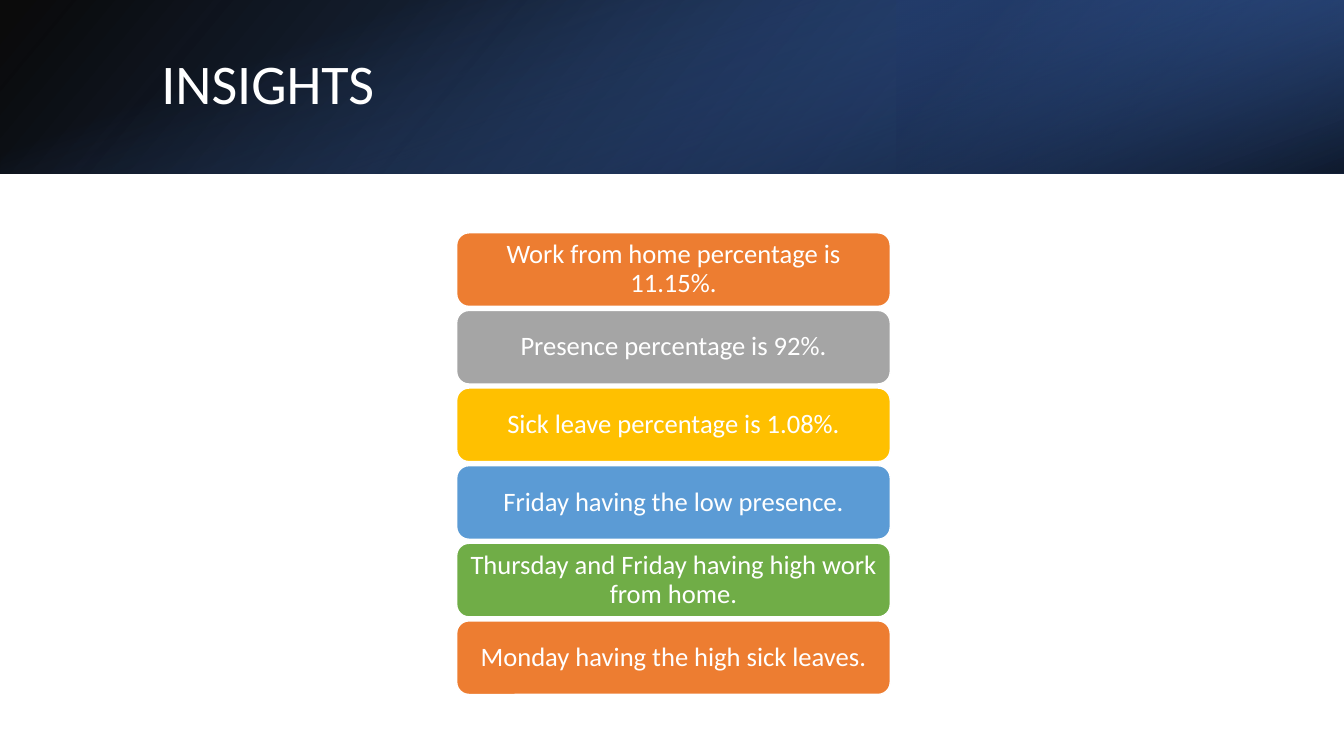
"""Build the Insights slide: a layered gradient banner and a stack of findings."""
from dataclasses import dataclass

from pptx import Presentation
from pptx.dml.color import RGBColor
from pptx.enum.shapes import MSO_SHAPE as SHAPE
from pptx.enum.text import MSO_ANCHOR as ANCHOR, PP_ALIGN as ALIGN
from pptx.oxml import parse_xml
from pptx.oxml.ns import nsdecls, qn
from pptx.util import Inches, Pt

WIDTH, HEIGHT, BANNER_H = 13.33, 7.5, 1.72
CARD_X, CARD_Y, CARD_W, CARD_H, CARD_STEP = 4.53, 2.31, 4.3, 0.73, 0.77
WHITE = "FFFFFF"


@dataclass
class Stop:
    pos: int
    color: str
    opacity: int


@dataclass
class Layer:
    x: float
    y: float
    w: float
    h: float
    rotation: int
    flip: bool
    angle: int
    stops: tuple[Stop, Stop]


@dataclass
class Card:
    text: str
    color: str


LAYERS = [
    Layer(0, 0, WIDTH, BANNER_H, 0, True, 140,
          (Stop(0, "000000", 96), Stop(100, "2F5597", 100))),
    Layer(8.89, 0, 4.44, BANNER_H, 180, True, 320,
          (Stop(19, "203864", 68), Stop(100, "4472C4", 79))),
    Layer((WIDTH - BANNER_H) / 2, (BANNER_H - WIDTH) / 2, BANNER_H, WIDTH, 90, False, 340,
          (Stop(23, "4472C4", 0), Stop(99, "000000", 74))),
]

CARDS = [
    Card("Work from home percentage is 11.15%.", "ED7D31"),
    Card("Presence percentage is 92%.", "A5A5A5"),
    Card("Sick leave percentage is 1.08%.", "FFC000"),
    Card("Friday having the low presence.", "5B9BD5"),
    Card("Thursday and Friday having high work from home.", "70AD47"),
    Card("Monday having the high sick leaves.", "ED7D31"),
]


def rgb(color: str) -> RGBColor:
    return RGBColor.from_string(color)


def write(sp, text: str, *, size: float, color: str = WHITE, font: str = "Calibri",
          align=ALIGN.LEFT, inset: tuple[float, float] = (0.1, 0.05)) -> None:
    tf = sp.text_frame
    tf.word_wrap = True
    tf.vertical_anchor = ANCHOR.MIDDLE
    tf.margin_left = tf.margin_right = Inches(inset[0])
    tf.margin_top = tf.margin_bottom = Inches(inset[1])
    p = tf.paragraphs[0]
    p.alignment = align
    p.line_spacing = 0.9
    r = p.add_run()
    r.text = text
    r.font.name = font
    r.font.size = Pt(size)
    r.font.color.rgb = rgb(color)


def add_layer(s, layer: Layer) -> None:
    sp = s.shapes.add_shape(SHAPE.RECTANGLE, *map(Inches, (layer.x, layer.y, layer.w, layer.h)))
    sp.shadow.inherit = False
    sp.line.fill.background()
    sp.rotation = layer.rotation
    sp.fill.background()
    props = sp._element.spPr
    if layer.flip:
        props.find(qn("a:xfrm")).set("flipH", "1")
    stops = "".join(
        f'<a:gs pos="{stop.pos * 1000}"><a:srgbClr val="{stop.color}">'
        f'<a:alpha val="{stop.opacity * 1000}"/></a:srgbClr></a:gs>'
        for stop in layer.stops)
    gradient = parse_xml(
        f'<a:gradFill {nsdecls("a")} rotWithShape="1"><a:gsLst>{stops}</a:gsLst>'
        f'<a:lin ang="{layer.angle * 60000}" scaled="0"/></a:gradFill>')
    props.replace(props.find(qn("a:noFill")), gradient)


def add_title(s, text: str) -> None:
    sp = s.shapes.title
    s.shapes._spTree.append(sp._element)
    sp.left, sp.top, sp.width, sp.height = map(Inches, (1.5, 0.38, 10.98, 0.96))
    write(sp, text, size=40)


def add_card(s, card: Card, y: float) -> None:
    sp = s.shapes.add_shape(SHAPE.ROUNDED_RECTANGLE, *map(Inches, (CARD_X, y, CARD_W, CARD_H)))
    sp.shadow.inherit = False
    sp.fill.solid()
    sp.fill.fore_color.rgb = rgb(card.color)
    sp.line.color.rgb = rgb(WHITE)
    sp.line.width = Pt(1)
    write(sp, card.text, size=19, align=ALIGN.CENTER, inset=(0.08, 0.04))


def main() -> None:
    prs = Presentation()
    prs.slide_width, prs.slide_height = Inches(WIDTH), Inches(HEIGHT)
    s = prs.slides.add_slide(prs.slide_layouts[5])
    for layer in LAYERS:
        add_layer(s, layer)
    add_title(s, "INSIGHTS")
    for i, card in enumerate(CARDS):
        add_card(s, card, CARD_Y + i * CARD_STEP)
    prs.save("out.pptx")


if __name__ == "__main__":
    main()
